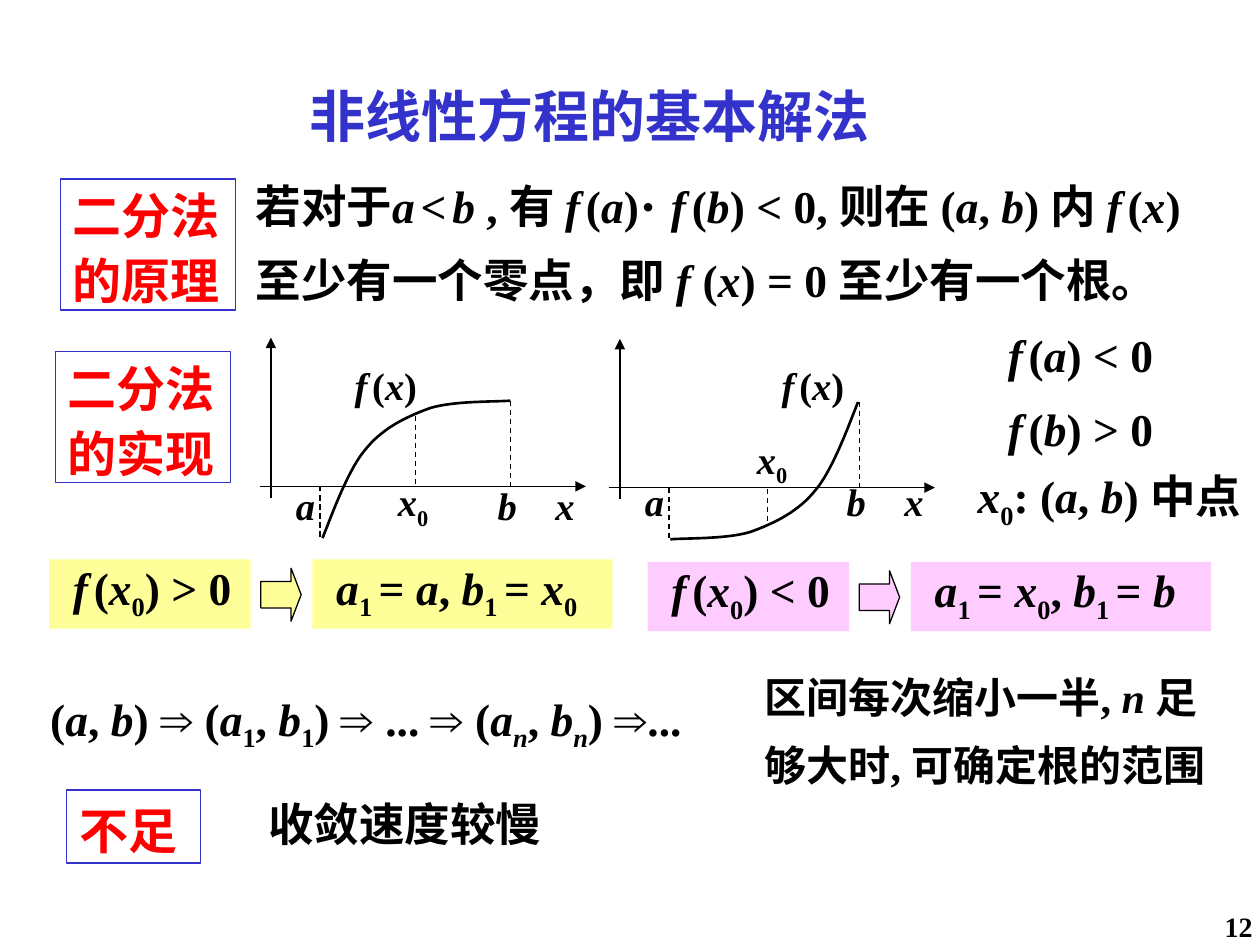
from lxml.etree import SubElement
from pptx import Presentation
from pptx.dml.color import RGBColor
from pptx.enum.dml import MSO_LINE
from pptx.enum.shapes import MSO_CONNECTOR as Connector, MSO_SHAPE as Preset
from pptx.enum.text import MSO_ANCHOR as Anchor, PP_ALIGN as Align
from pptx.oxml.ns import qn
from pptx.util import Inches, Pt

COLORS = {"blue": "3333CC", "red": "FF0000", "black": "000000",
          "yellow": "FFFF99", "pink": "FFCCFF"}
FONT = "Times New Roman"
WIDTH, HEIGHT = Inches(10), Inches(7.5)
COLUMN, ROW = WIDTH / 100, HEIGHT / 75
ITALIC, SUBSCRIPT, THIN_SPACE = "*", "~", "^"

TITLE = ("非线性方程的基本解法", (23.6, 6.5, 52, 5.3))
PAGE_NUMBER = ("12", (94.2, 72.1, 5.8, 2.9))
TAGS = [
    (["二分法", "的原理"], (4.8, 14.2, 13.9, 10.4)),
    (["二分法", "的实现"], (4.4, 27.9, 13.9, 10.4)),
    (["不足"], (5.3, 62.7, 10.6, 5.8)),
]
STATEMENTS = [
    (["若对于*a*^<^*b *, 有 *f*^(*a*)⋅^*f*^(*b*) < 0, 则在 (*a*, *b*) 内 *f*^(*x*)",
      "至少有一个零点，即 *f *(*x*) = 0 至少有一个根。"], (19.3, 12.9, 80.7, 11.8), 26),
    (["* f*^(*a*) < 0", "* f*^(*b*) > 0"], (78.1, 25.3, 20, 10.6), 26),
    (["* x*~0~: (*a*, *b*) 中点"], (75.7, 36.1, 24.3, 6.1), 26),
    (["(*a*, *b*) ⇒ (*a*~1~, *b*~1~) ⇒ ... ⇒ (*a~n~*, *b~n~*) ⇒..."],
     (3, 54.3, 57.9, 5), 26),
    (["区间每次缩小一半, *n *足", "够大时, 可确定根的范围"], (59.7, 52.5, 40.3, 10.2), 24),
    (["收敛速度较慢"], (20.3, 61.4, 24.3, 7), 26),
]
CASES = [
    ("* f*^(*x*~0~) > 0", "* a*~1 ~= *a*, *b*~1 ~= *x*~0~", "yellow", (0, 0)),
    ("* f*^(*x*~0~) < 0", "* a*~1 ~= *x*~0~, *b*~1 ~= *b*", "pink", (47.5, 0.2)),
]
CASE_PARTS = {"condition": (3.9, 44.4, 16, 5.5), "arrow": (20.7, 45.1, 3.2, 4.2),
              "result": (24.8, 44.4, 23.8, 5.5)}

AXES = [((20.6, 38.6), (46.5, 38.6)), ((21.5, 39.5), (21.5, 26.8))]
AXIS_LABELS = [("a", 22.5), ("b", 38.5), ("x", 43.1)]
CURVE = [(25.6, 42.7), (26.1, 41.5), (27.5, 37.5), (28.9, 35.8), (30.3, 34),
         (32.2, 33.1), (34.1, 32.4), (36, 31.8), (39.4, 31.9), (40.5, 31.8)]
TURNED_CURVE = [(93.7 - x, 74.6 - y) for x, y in CURVE]
GUIDES = [((25.4, 38.6), (25.4, 42.7)), ((40.5, 31.8), (40.5, 38.6))]
GRAPHS = [
    {"shift": (0, 0), "curve": CURVE, "label_top": 37,
     "function": (26.4, 27.8, 10.4, 4.8), "midpoint": (30.6, 36.9, 5.6, 5.4),
     "guide": ((33, 33), (33, 38.6))},
    {"shift": (27.7, 0.1), "curve": TURNED_CURVE, "label_top": 36.7,
     "function": (60.3, 27.8, 10.4, 4.8), "midpoint": (59.1, 34.2, 5.3, 4.1),
     "guide": ((60.9, 38.8), (60.9, 41.4))},
]

presentation = Presentation()
presentation.slide_width, presentation.slide_height = WIDTH, HEIGHT
slide = presentation.slides.add_slide(presentation.slide_layouts[6])


def color(name):
    return RGBColor.from_string(COLORS[name])


def place(*cells):
    return [round(cell * (ROW if index % 2 else COLUMN))
            for index, cell in enumerate(cells)]


def moved(point, shift):
    return point[0] + shift[0], point[1] + shift[1]


def add_run(paragraph, text, size, tint, italic=False, subscript=False):
    run = paragraph.add_run()
    run.text = text
    font = run.font
    font.name, font.size, font.bold = FONT, Pt(size), True
    font.italic = italic
    font.color.rgb = color(tint)
    if subscript:
        font._element.set("baseline", "-25000")


def add_runs(paragraph, text, size, tint):
    for italic_index, part in enumerate(text.split(ITALIC)):
        for sub_index, piece in enumerate(part.split(SUBSCRIPT)):
            for thin_index, word in enumerate(piece.split(THIN_SPACE)):
                if thin_index:
                    add_run(paragraph, " ", size / 2, tint)
                if word:
                    add_run(paragraph, word, size, tint,
                            italic_index % 2 == 1, sub_index % 2 == 1)


def write(shape, lines, size, tint="black", spacing=1.2, later_spacing=1.35,
          after=0, bottom=0.05):
    frame = shape.text_frame
    frame.word_wrap, frame.vertical_anchor = False, Anchor.MIDDLE
    frame.margin_left, frame.margin_right = Inches(0.1), 0
    frame.margin_top, frame.margin_bottom = Inches(0.05), Inches(bottom)
    for index, line in enumerate(lines):
        paragraph = frame.add_paragraph() if index else frame.paragraphs[0]
        paragraph.alignment = Align.LEFT
        paragraph.line_spacing = later_spacing if index else spacing
        paragraph.space_after = Pt(after)
        add_runs(paragraph, line, size, tint)


def add_text(lines, box, size, **style):
    shape = slide.shapes.add_textbox(*place(*box))
    write(shape, lines, size, **style)
    return shape


def add_preset(kind, box, fill=None, line=None):
    shape = slide.shapes.add_shape(kind, *place(*box))
    shape.shadow.inherit = False
    if fill:
        shape.fill.solid()
        shape.fill.fore_color.rgb = color(fill)
    else:
        shape.fill.background()
    if line:
        shape.line.color.rgb, shape.line.width = color(line), Pt(0.75)
    else:
        shape.line.fill.background()
    return shape


def add_line(start, end, arrow=False):
    connector = slide.shapes.add_connector(Connector.STRAIGHT, *place(*start, *end))
    line = connector.line
    line.color.rgb, line.width = color("black"), Pt(0.75)
    if arrow:
        SubElement(line._get_or_add_ln(), qn("a:tailEnd"), type="triangle")
    else:
        line.dash_style = MSO_LINE.DASH
    SubElement(connector._element.spPr, qn("a:effectLst"))


def bezier(controls, share):
    weights = ((1 - share) ** 3, 3 * share * (1 - share) ** 2,
               3 * share ** 2 * (1 - share), share ** 3)
    return tuple(sum(weight * value for weight, value in zip(weights, axis))
                 for axis in zip(*controls))


def add_curve(controls, steps=16):
    points = [place(*bezier(controls[first:first + 4], step / steps))
              for first in range(0, len(controls) - 1, 3)
              for step in range(1, steps + 1)]
    builder = slide.shapes.build_freeform(*place(*controls[0]))
    builder.add_line_segments(points, close=False)
    shape = builder.convert_to_shape()
    shape.shadow.inherit = False
    shape.fill.background()
    shape.line.color.rgb, shape.line.width = color("black"), Pt(1.5)


def add_graph(graph):
    shift = graph["shift"]
    for start, end in AXES:
        add_line(moved(start, shift), moved(end, shift), arrow=True)
    for name, left in AXIS_LABELS:
        box = (left + shift[0], graph["label_top"], 3.5, 5.4)
        add_text([f"*{name}*"], box, 22)
    add_text(["* f*^(*x*)"], graph["function"], 22)
    add_text(["*x*~0~"], graph["midpoint"], 22)
    add_curve(graph["curve"])
    for start, end in GUIDES:
        add_line(moved(start, shift), moved(end, shift))
    add_line(*graph["guide"])


def add_case(condition, result, fill, shift):
    boxes = {name: (*moved(box[:2], shift), *box[2:])
             for name, box in CASE_PARTS.items()}
    for name, text in (("condition", condition), ("result", result)):
        shape = add_preset(Preset.RECTANGLE, boxes[name], fill)
        write(shape, [text], 26, spacing=1.0, bottom=0.1)
    arrow = add_preset(Preset.RIGHT_ARROW, boxes["arrow"], fill, "black")
    arrow.adjustments[0], arrow.adjustments[1] = 0.5, 0.25


def add_page_number(text, box):
    shape = add_text([text], box, 16, spacing=1.0)
    frame = shape.text_frame
    frame.word_wrap, frame.vertical_anchor = True, Anchor.TOP
    frame.margin_left = frame.margin_right = Inches(0.06)
    frame.margin_top = frame.margin_bottom = Inches(0.01)
    frame.paragraphs[0].alignment = Align.RIGHT
    frame.paragraphs[0].space_before = Pt(10)


add_page_number(*PAGE_NUMBER)
add_text([TITLE[0]], TITLE[1], 32, tint="blue", spacing=1.0)
for lines, box in TAGS:
    write(add_preset(Preset.RECTANGLE, box, line="blue"), lines, 28, tint="red",
          later_spacing=1.0, after=3.5, bottom=0.09)
for statement in STATEMENTS:
    add_text(*statement)
for graph in GRAPHS:
    add_graph(graph)
for case in CASES:
    add_case(*case)
presentation.save("out.pptx")
